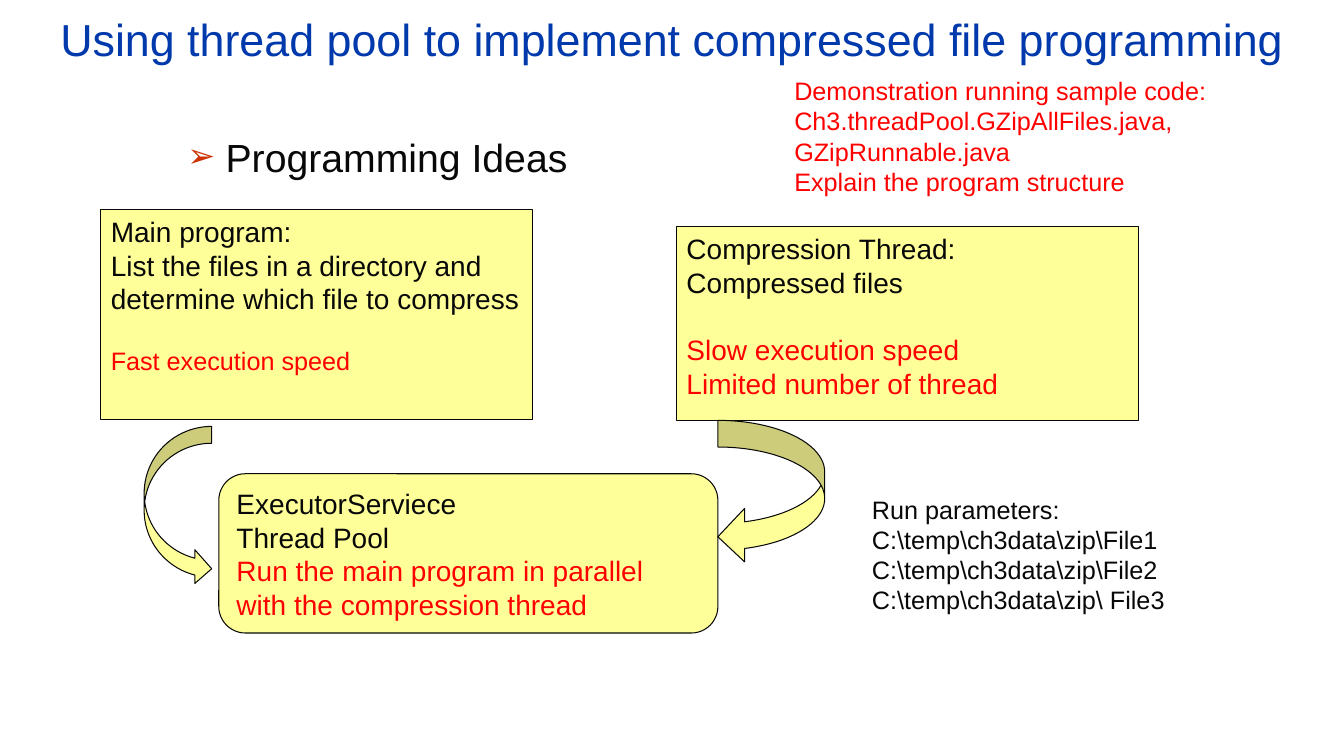
from lxml.etree import SubElement
from pptx import Presentation
from pptx.dml.color import RGBColor
from pptx.enum.shapes import MSO_SHAPE
from pptx.enum.text import MSO_ANCHOR, PP_ALIGN
from pptx.oxml.ns import qn
from pptx.util import Inches, Pt

BLUE = RGBColor(0x00, 0x39, 0xAC)
BLACK = RGBColor(0x08, 0x08, 0x08)
RED = RGBColor(0xFF, 0x00, 0x00)
YELLOW = RGBColor(0xFF, 0xFF, 0x99)
FONT = "Arial"


def add_run(para, text, size, color):
    run = para.add_run()
    run.text = text
    run.font.name = FONT
    run.font.size = Pt(size)
    run.font.color.rgb = color


def add_lines(frame, lines):
    """Each line is text, size, colour and the space before it in points."""
    frame.word_wrap = True
    frame.vertical_anchor = MSO_ANCHOR.TOP
    for i, (text, size, color, gap) in enumerate(lines):
        para = frame.add_paragraph() if i else frame.paragraphs[0]
        para.alignment = PP_ALIGN.LEFT
        if gap:
            para.space_before = Pt(gap)
        add_run(para, text, size, color)


def add_title(slide, text, box):
    title = slide.shapes.title
    title.left, title.top, title.width, title.height = map(Inches, box)
    frame = title.text_frame
    frame.word_wrap = True
    frame.vertical_anchor = MSO_ANCHOR.MIDDLE
    frame.paragraphs[0].alignment = PP_ALIGN.CENTER
    add_run(frame.paragraphs[0], text, 32, BLUE)


def add_text(slide, box, lines):
    text = slide.shapes.add_textbox(*map(Inches, box))
    add_lines(text.text_frame, lines)
    return text


def add_bullet(para):
    props = para._p.get_or_add_pPr()
    props.set("marL", str(Inches(0.38)))
    props.set("indent", str(-Inches(0.38)))
    color = SubElement(props, qn("a:buClr"))
    SubElement(color, qn("a:srgbClr"), val="CC3300")
    SubElement(props, qn("a:buSzPct"), val="85000")
    SubElement(props, qn("a:buFont"), typeface=FONT)
    SubElement(props, qn("a:buChar"), char="➢")


def add_box(slide, kind, box, lines=()):
    shape = slide.shapes.add_shape(kind, *map(Inches, box))
    shape.shadow.inherit = False
    shape.fill.solid()
    shape.fill.fore_color.rgb = YELLOW
    shape.line.color.rgb = BLACK
    shape.line.width = Pt(0.75)
    add_lines(shape.text_frame, lines)


def main():
    deck = Presentation()
    deck.slide_width, deck.slide_height = Inches(13.33), Inches(7.5)
    slide = deck.slides.add_slide(deck.slide_layouts[5])

    # Title and heading
    add_title(slide, "Using thread pool to implement compressed file programming",
              (0.46, 0.15, 12.42, 0.47))
    head = add_text(slide, (1.76, 1.27, 4.66, 0.65),
                    [("Programming Ideas", 28, BLACK, 0)])
    add_bullet(head.text_frame.paragraphs[0])

    # Program parts
    add_box(slide, MSO_SHAPE.RECTANGLE, (1, 2.08, 4.28, 2.08), [
        ("Main program:", 20, BLACK, 0),
        ("List the files in a directory and determine which file to compress",
         20, BLACK, 0),
        ("Fast execution speed", 18, RED, 21),
    ])
    add_box(slide, MSO_SHAPE.RECTANGLE, (6.71, 2.25, 4.58, 1.92), [
        ("Compression Thread:", 20, BLACK, 0),
        ("Compressed files", 20, BLACK, 0),
        ("Slow execution speed", 20, RED, 24),
        ("Limited number of thread", 20, RED, 0),
    ])
    add_box(slide, MSO_SHAPE.FLOWCHART_ALTERNATE_PROCESS, (2.17, 4.7, 4.95, 1.58), [
        ("ExecutorServiece", 20, BLACK, 0),
        ("Thread Pool", 20, BLACK, 0),
        ("Run the main program in parallel with the compression thread",
         20, RED, 0),
    ])

    # Arrows into the pool
    add_box(slide, MSO_SHAPE.CURVED_RIGHT_ARROW, (1.43, 4.23, 0.67, 1.58))
    add_box(slide, MSO_SHAPE.CURVED_LEFT_ARROW, (7.12, 4.17, 1.06, 1.42))

    # Notes beside the diagram
    demo = ["Demonstration running sample code:",
            "Ch3.threadPool.GZipAllFiles.java, GZipRunnable.java",
            "Explain the program structure"]
    add_text(slide, (7.78, 0.7, 5.47, 1.62), [(t, 18, RED, 0) for t in demo])
    params = ["Run parameters:",
              r"C:\temp\ch3data\zip\File1",
              r"C:\temp\ch3data\zip\File2",
              r"C:\temp\ch3data\zip\ File3"]
    add_text(slide, (8.55, 4.85, 4.56, 1.31), [(t, 18, BLACK, 0) for t in params])

    deck.save("out.pptx")


if __name__ == "__main__":
    main()
